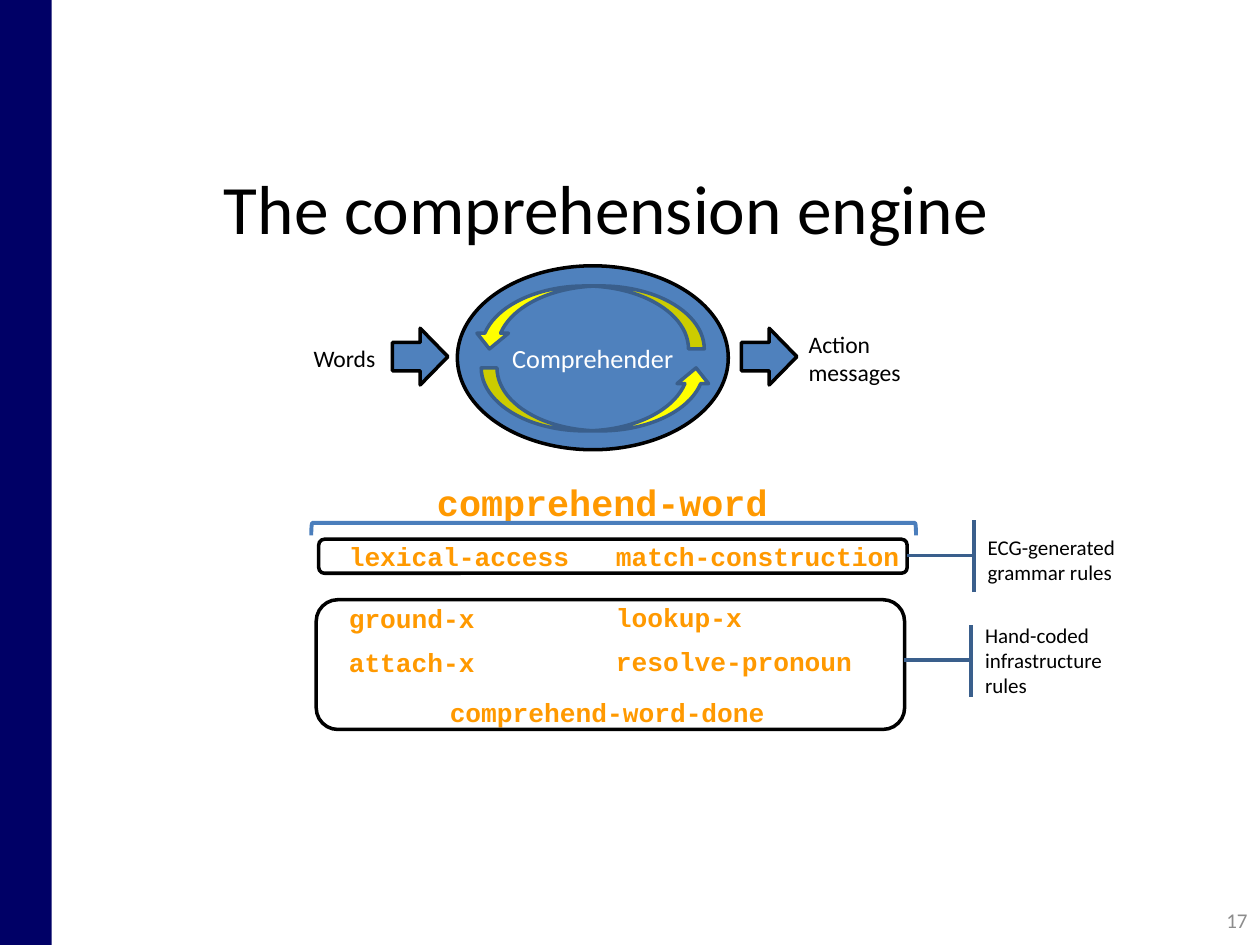
from dataclasses import dataclass
from typing import Optional

from pptx import Presentation
from pptx.dml.color import RGBColor as Rgb
from pptx.enum.shapes import MSO_SHAPE as Geo
from pptx.enum.text import MSO_ANCHOR as Anchor, MSO_AUTO_SIZE as Auto, PP_ALIGN as Align
from pptx.util import Inches, Pt

HUES = {
    "navy": "000066", "blue": "4F81BD", "steel": "3A5F8C", "brace": "4B7EBC",
    "gold": "FFFF00", "code": "FF9900", "black": "000000", "white": "FFFFFF",
    "gray": "8C8C8C",
}


@dataclass
class Form:
    geo: Geo
    box: tuple
    fill: Optional[str] = None
    line: Optional[str] = None
    width: float = 2
    turn: float = 0
    flip: str = ""
    adj: tuple = ()


@dataclass
class Label:
    text: str
    box: tuple
    size: float
    font: str = "Calibri"
    hue: str = "black"
    bold: bool = False
    align: Align = Align.LEFT


def hue(name: str) -> Rgb:
    return Rgb.from_string(HUES[name])


def write(shape, item: Label) -> None:
    frame = shape.text_frame
    frame.text = item.text
    frame.word_wrap = True
    para = frame.paragraphs[0]
    para.alignment = item.align
    font = para.runs[0].font
    font.name, font.size, font.bold = item.font, Pt(item.size), item.bold
    font.color.rgb = hue(item.hue)


def draw(slide, item: Form):
    shape = slide.shapes.add_shape(item.geo, *map(Inches, item.box))
    shape.shadow.inherit = False
    shape.rotation = item.turn
    for side in item.flip:
        shape.element.spPr.xfrm.set("flip" + side, "1")
    for i, value in enumerate(item.adj):
        shape.adjustments[i] = value
    if item.fill:
        shape.fill.solid()
        shape.fill.fore_color.rgb = hue(item.fill)
    else:
        shape.fill.background()
    if item.line:
        shape.line.color.rgb = hue(item.line)
        shape.line.width = Pt(item.width)
    else:
        shape.line.fill.background()
    return shape


def label(slide, item: Label):
    shape = slide.shapes.add_textbox(*map(Inches, item.box))
    write(shape, item)
    shape.text_frame.auto_size = Auto.SHAPE_TO_FIT_TEXT
    return shape


def code(text: str, box: tuple, size: float = 15, align: Align = Align.LEFT) -> Label:
    return Label(text, box, size, "Courier New", "code", True, align)


def engine(slide) -> None:
    oval = draw(slide, Form(Geo.OVAL, (3.63, 2.11, 2.15, 1.46), "blue", "black"))
    write(oval, Label("Comprehender", (), 15, hue="white", align=Align.CENTER))
    for left in (3.11, 5.88):
        draw(slide, Form(Geo.DOWN_ARROW, (left, 2.61, 0.45, 0.44), "blue", "black", turn=270))
    for left, top, flip in ((3.82, 2.92, ""), (3.76, 2.27, "HV")):
        draw(slide, Form(Geo.CURVED_UP_ARROW, (left, top, 1.83, 0.5), "gold", "steel", flip=flip))
    label(slide, Label("Words", (2.39, 2.68, 0.7, 0.33), 13.5))
    label(slide, Label("Action messages", (6.32, 2.57, 0.97, 0.56), 13.5))


def rules(slide) -> None:
    label(slide, code("comprehend-word", (3.37, 3.76, 2.94, 0.45), 21))
    draw(slide, Form(Geo.LEFT_BRACKET, (4.82, 1.8, 0.1, 4.8), line="brace", width=2.25, turn=90))
    names = (
        ("lexical-access", 2.67, 4.24, 2.17), ("match-construction", 4.79, 4.24, 2.55),
        ("ground-x", 2.67, 4.73, 1.9), ("lookup-x", 4.79, 4.72, 1.9),
        ("attach-x", 2.67, 5.08, 1.9), ("resolve-pronoun", 4.79, 5.07, 2.21),
    )
    for text, left, top, width in names:
        label(slide, code(text, (left, top, width, 0.35)))
    label(slide, code("comprehend-word-done", (3.39, 5.48, 2.86, 0.35), align=Align.CENTER))
    for box in ((2.53, 4.28, 4.67, 0.27), (2.51, 4.76, 4.67, 1.03)):
        draw(slide, Form(Geo.ROUNDED_RECTANGLE, box, line="black"))


def notes(slide) -> None:
    items = (
        ("ECG-generated grammar rules", 7.82, 4.13, 4.19, 0.5),
        ("Hand-coded infrastructure rules", 7.8, 4.96, 4.89, 0.71),
    )
    for text, left, top, head, height in items:
        draw(slide, Form(Geo.LINE_CALLOUT_1_ACCENT_BAR, (left, top, 1.02, 0.57), "white", "steel",
                         flip="V", adj=(0.51, -0.09, 0.51, -0.61)))
        label(slide, Label(text, (left - 0.08, head, 1.23, height), 12))


def main() -> None:
    deck = Presentation()
    deck.slide_width, deck.slide_height = Inches(10), Inches(7.5)
    slide = deck.slides.add_slide(deck.slide_layouts[5])
    draw(slide, Form(Geo.RECTANGLE, (-0.01, 0, 0.42, 7.5), "navy"))
    title = slide.shapes.title
    title.left, title.top, title.width, title.height = map(Inches, (0.69, 1.24, 8.24, 0.8))
    write(title, Label("The comprehension engine", (), 39.6, align=Align.CENTER))
    title.text_frame.vertical_anchor = Anchor.MIDDLE
    page = label(slide, Label("17", (7.67, 7.1, 2.33, 0.4), 12, hue="gray", align=Align.RIGHT))
    page.text_frame.auto_size = Auto.NONE
    page.text_frame.vertical_anchor = Anchor.MIDDLE
    engine(slide)
    rules(slide)
    notes(slide)
    deck.save("out.pptx")


if __name__ == "__main__":
    main()
